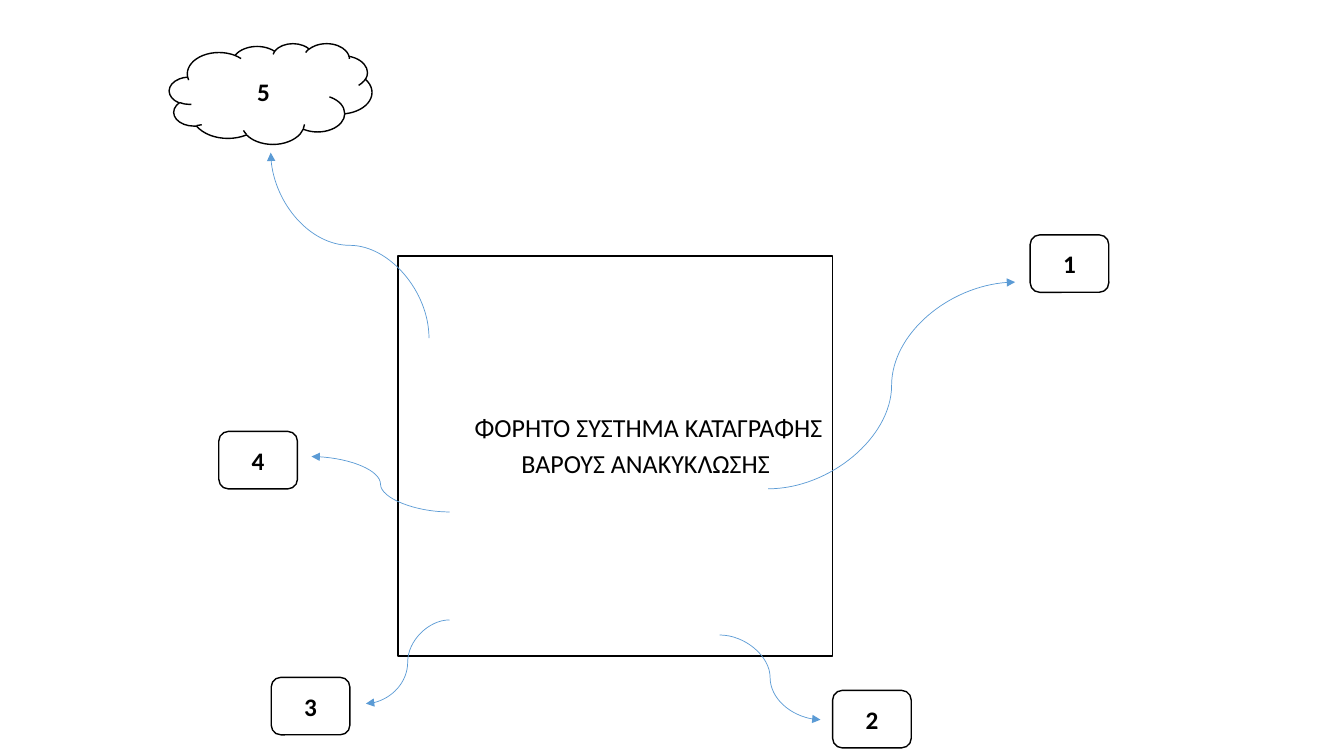
from dataclasses import dataclass

from lxml.etree import SubElement
from pptx import Presentation
from pptx.dml.color import RGBColor as Rgb
from pptx.enum.shapes import MSO_CONNECTOR as Link, MSO_SHAPE as Kind
from pptx.enum.text import MSO_ANCHOR as Anchor, PP_ALIGN as Align
from pptx.oxml.ns import qn
from pptx.shapes.autoshape import Shape
from pptx.text.text import TextFrame
from pptx.util import Inches, Pt


@dataclass(frozen=True)
class Theme:
    font: str = "Calibri"
    ink: Rgb = Rgb(0, 0, 0)
    paper: Rgb = Rgb(255, 255, 255)
    blue: Rgb = Rgb(0x5B, 0x9B, 0xD5)
    title: float = 18.6
    label: float = 18
    edge: float = 1
    thin: float = 0.5


@dataclass(frozen=True)
class Node:
    """A filled outline; lengths are percent of the slide."""
    kind: Kind
    x: float
    y: float
    w: float = 5.85
    h: float = 7.6
    text: str = ""


@dataclass(frozen=True)
class Curve:
    """A curved arrow before its turn; points are percent of the slide."""
    x1: float
    y1: float
    x2: float
    y2: float
    turn: int = 0


THEME = Theme()
CARD = Kind.FLOWCHART_ALTERNATE_PROCESS
TITLE = "ΦΟΡΗΤΟ ΣΥΣΤΗΜΑ ΚΑΤΑΓΡΑΦΗΣ\nΒΑΡΟΥΣ ΑΝΑΚΥΚΛΩΣΗΣ "

FRAME = Node(Kind.RECTANGLE, 29.63, 33.87, 32.33, 52.93)
NODES = [
    Node(CARD, 76.65, 31.07, text="1"),
    Node(CARD, 61.95, 91.33, text="2"),
    Node(CARD, 20.18, 89.6, text="3"),
    Node(CARD, 16.28, 57.07, text="4"),
    Node(Kind.CLOUD, 12.6, 5.73, 15.08, 13.33, "5"),
]
CURVES = [
    Curve(57.15, 64.67, 75.53, 37.33),
    Curve(53.55, 84, 61.05, 95.2),
    Curve(33.45, 82, 27.23, 93.07),
    Curve(33.45, 67.73, 23.18, 60.4),
    Curve(19.13, 42.93, 32.93, 22, turn=270),
]

deck = Presentation()
deck.slide_width, deck.slide_height = Inches(13.33), Inches(7.5)
slide = deck.slides.add_slide(deck.slide_layouts[6])


def place(*shares: float) -> list[int]:
    """Turn alternating x and y percentages into lengths."""
    sides = (deck.slide_width, deck.slide_height)
    return [round(sides[i % 2] * s / 100) for i, s in enumerate(shares)]


def write(frame: TextFrame, text: str, size: float, bold: bool = False) -> None:
    frame.text = text
    frame.word_wrap = True
    for para in frame.paragraphs:
        para.alignment = Align.CENTER
        for run in para.runs:
            font = run.font
            font.name, font.size, font.bold = THEME.font, Pt(size), bold
            font.color.rgb = THEME.ink


def draw(node: Node) -> Shape:
    shape = slide.shapes.add_shape(
        node.kind, *place(node.x, node.y, node.w, node.h))
    shape.shadow.inherit = False
    shape.fill.solid()
    shape.fill.fore_color.rgb = THEME.paper
    shape.line.color.rgb = THEME.ink
    shape.line.width = Pt(THEME.edge)
    if node.text:
        write(shape.text_frame, node.text, THEME.label, bold=True)
        shape.text_frame.vertical_anchor = Anchor.MIDDLE
    return shape


def link(curve: Curve) -> None:
    line = slide.shapes.add_connector(
        Link.CURVE, *place(curve.x1, curve.y1, curve.x2, curve.y2))
    line.line.color.rgb = THEME.blue
    line.line.width = Pt(THEME.thin)
    props = line._element.spPr
    SubElement(props.find(qn("a:ln")), qn("a:tailEnd"), type="triangle")
    SubElement(props, qn("a:effectLst"))
    if curve.turn:
        props.find(qn("a:xfrm")).set("rot", str(curve.turn * 60000))


# Central device with its title
draw(FRAME)
box = slide.shapes.add_textbox(*place(31.65, 54.93, 33.23, 9.33))
write(box.text_frame, TITLE, THEME.title)
for para in box.text_frame.paragraphs:
    para.line_spacing = 0.7
    para.space_before = Pt(10)

# Numbered parts
for node in NODES:
    draw(node)

# Arrows from the device to the parts
for curve in CURVES:
    link(curve)

deck.save("out.pptx")
